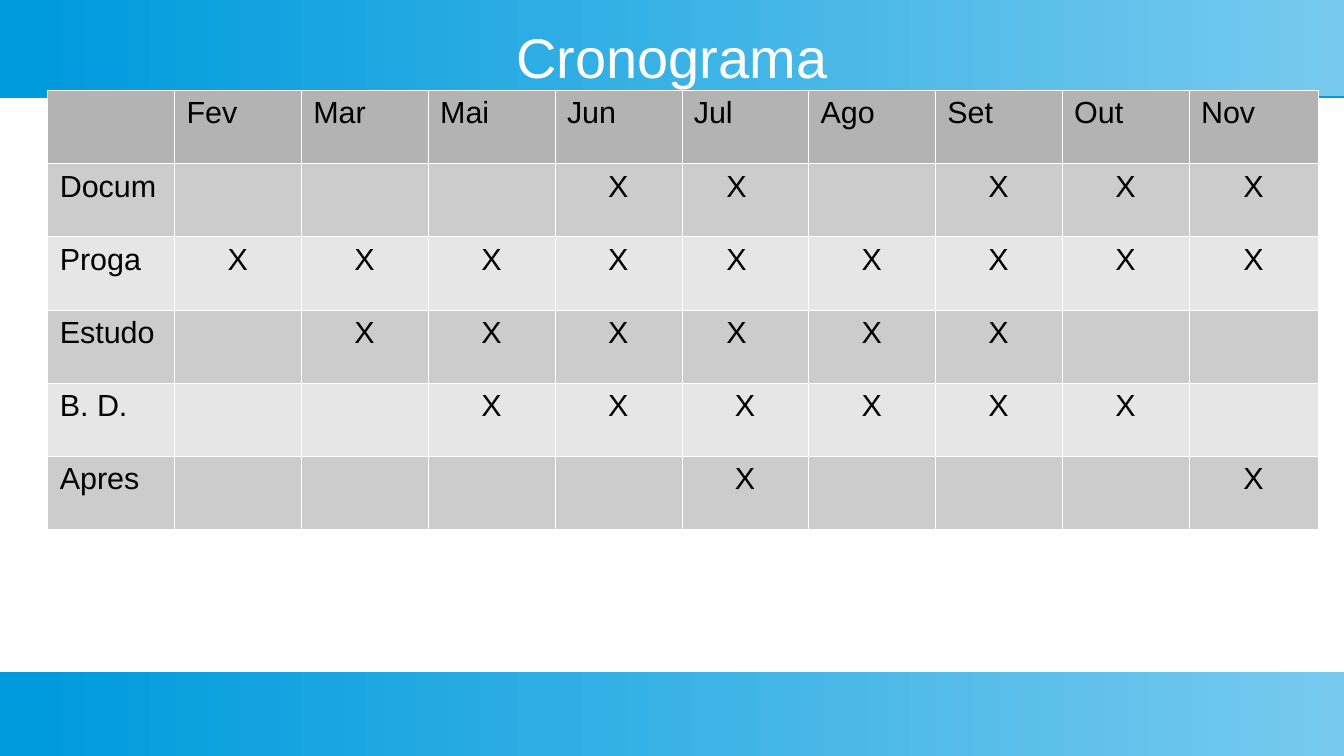
from lxml.etree import SubElement
from pptx import Presentation
from pptx.dml.color import RGBColor as Color
from pptx.enum.shapes import MSO_SHAPE as Shape
from pptx.enum.text import MSO_ANCHOR as Anchor, PP_ALIGN as Align
from pptx.oxml import parse_xml
from pptx.oxml.ns import nsdecls, qn
from pptx.util import Inches, Pt

THEME = {
    "font": "Arial", "title_size": 33, "cell_size": 18,
    "white": "FFFFFF", "black": "000000",
    "band_left": "009BDD", "band_right": "77CAEE",
    "header": "B3B3B3", "rows": ("CCCCCC", "E6E6E6"),
}
WIDTH, HEIGHT = 11.02, 6.2
LEFT, TOP = 0.39, 0.74
COLUMN, LAST_COLUMN, ROW = 1.04, 1.06, 0.6

MONTHS = ["Fev", "Mar", "Mai", "Jun", "Jul", "Ago", "Set", "Out", "Nov"]
SCHEDULE = {
    "Docum": "Jun Jul Set Out Nov",
    "Proga": "Fev Mar Mai Jun Jul Ago Set Out Nov",
    "Estudo": "Mar Mai Jun Jul Ago Set",
    "B. D.": "Mai Jun Jul Ago Set Out",
    "Apres": "Jul Nov",
}
JUL_SHIFTED = ("Docum", "Proga", "Estudo")


def write(para, text, size, color, align):
    para.alignment = align
    span = para.add_run()
    span.text = text
    formats = {"name": THEME["font"], "size": Pt(size)}
    for name, value in formats.items():
        setattr(span.font, name, value)
    span.font.color.rgb = Color.from_string(color)


def add_borders(cell):
    """Put a white hairline on all four sides; must run before the fill is set."""
    properties = cell._tc.get_or_add_tcPr()
    for side in ("a:lnL", "a:lnR", "a:lnT", "a:lnB"):
        line = SubElement(properties, qn(side), w=str(Pt(0.06)))
        fill = SubElement(line, qn("a:solidFill"))
        SubElement(fill, qn("a:srgbClr"), val=THEME["white"])


deck = Presentation()
deck.slide_width, deck.slide_height = Inches(WIDTH), Inches(HEIGHT)
page = deck.slides.add_slide(deck.slide_layouts[6])

# Gradient bands at the top and bottom
for top, height in ((0, 0.79), (5.51, 0.69)):
    band = page.shapes.add_shape(
        Shape.RECTANGLE, 0, Inches(top), Inches(WIDTH), Inches(height))
    band.line.fill.background()
    band.fill.gradient()
    band.fill.gradient_angle = 0
    stops = zip(band.fill.gradient_stops, ("band_left", "band_right"), (0.03, 1))
    for stop, color, position in stops:
        stop.color.rgb = Color.from_string(THEME[color])
        stop.position = position
    band._element.spPr.append(parse_xml(
        f'<a:effectLst {nsdecls("a")}>'
        f'<a:outerShdw dist="{Pt(0.9)}" dir="5400000" rotWithShape="0">'
        f'<a:srgbClr val="{THEME["band_left"]}"/></a:outerShdw></a:effectLst>'))

# Title
box = page.shapes.add_textbox(
    Inches(LEFT), Inches(0.2), Inches(10.24), Inches(0.52))
frame_formats = {
    "word_wrap": True, "vertical_anchor": Anchor.MIDDLE,
    "margin_left": 0, "margin_right": 0, "margin_top": 0, "margin_bottom": 0,
}
for name, value in frame_formats.items():
    setattr(box.text_frame, name, value)
write(box.text_frame.paragraphs[0], "Cronograma",
      THEME["title_size"], THEME["white"], Align.CENTER)

# Schedule table
grid = [["", *MONTHS]]
for task, active in SCHEDULE.items():
    grid.append([task, *("X" if month in active.split() else "" for month in MONTHS)])

table = page.shapes.add_table(
    len(grid), len(grid[0]), Inches(LEFT), Inches(TOP),
    Inches(COLUMN * len(MONTHS) + LAST_COLUMN), Inches(ROW * len(grid))).table
table.first_row = table.horz_banding = False
for column in table.columns:
    column.width = Inches(COLUMN)
table.columns[len(MONTHS)].width = Inches(LAST_COLUMN)

for row, texts in enumerate(grid):
    table.rows[row].height = Inches(ROW)
    shade = THEME["rows"][(row - 1) % 2] if row else THEME["header"]
    for column, text in enumerate(texts):
        cell = table.cell(row, column)
        add_borders(cell)
        cell.fill.solid()
        cell.fill.fore_color.rgb = Color.from_string(shade)
        shifted = texts[0] in JUL_SHIFTED and grid[0][column] == "Jul"
        margins = {
            "margin_left": 0.1, "margin_right": 0.24 if shifted else 0.1,
            "margin_top": 0.05, "margin_bottom": 0.05,
        }
        for name, value in margins.items():
            setattr(cell, name, Inches(value))
        if text:
            align = Align.CENTER if text == "X" else Align.LEFT
            write(cell.text_frame.paragraphs[0], text,
                  THEME["cell_size"], THEME["black"], align)

deck.save("out.pptx")
